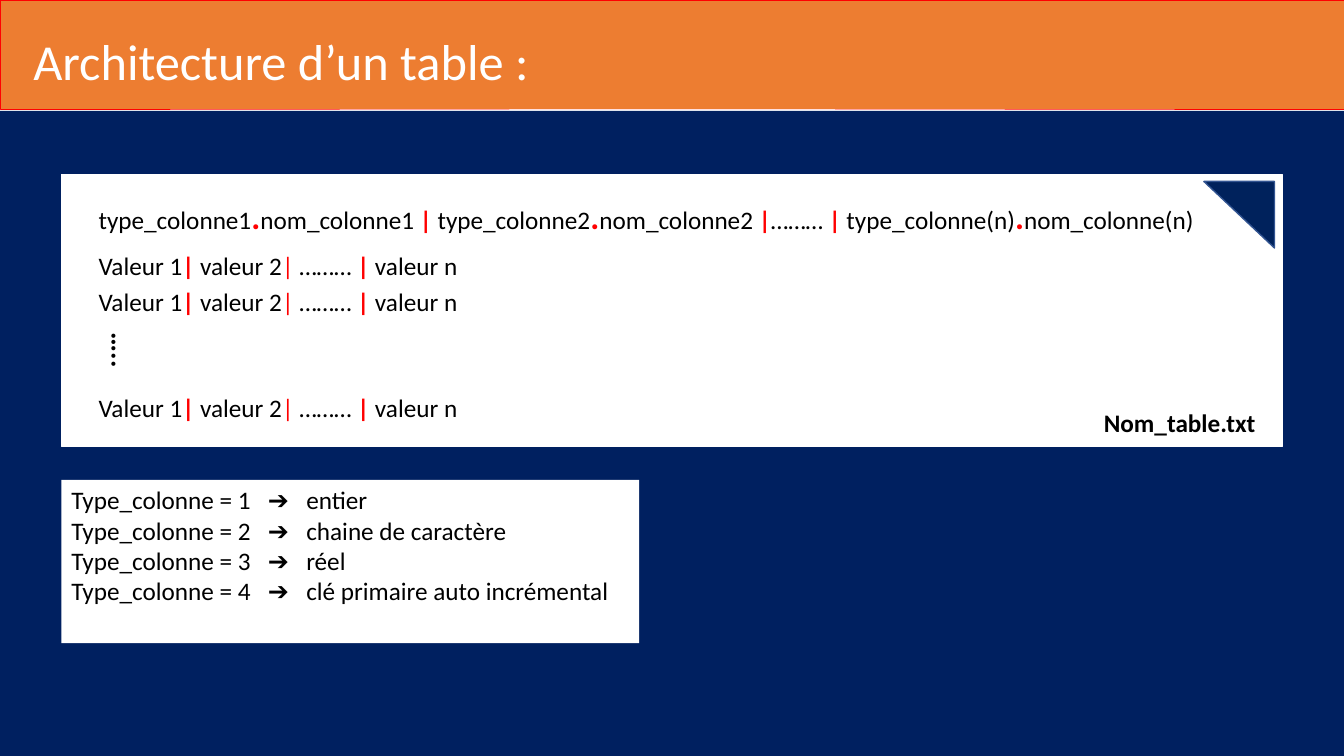
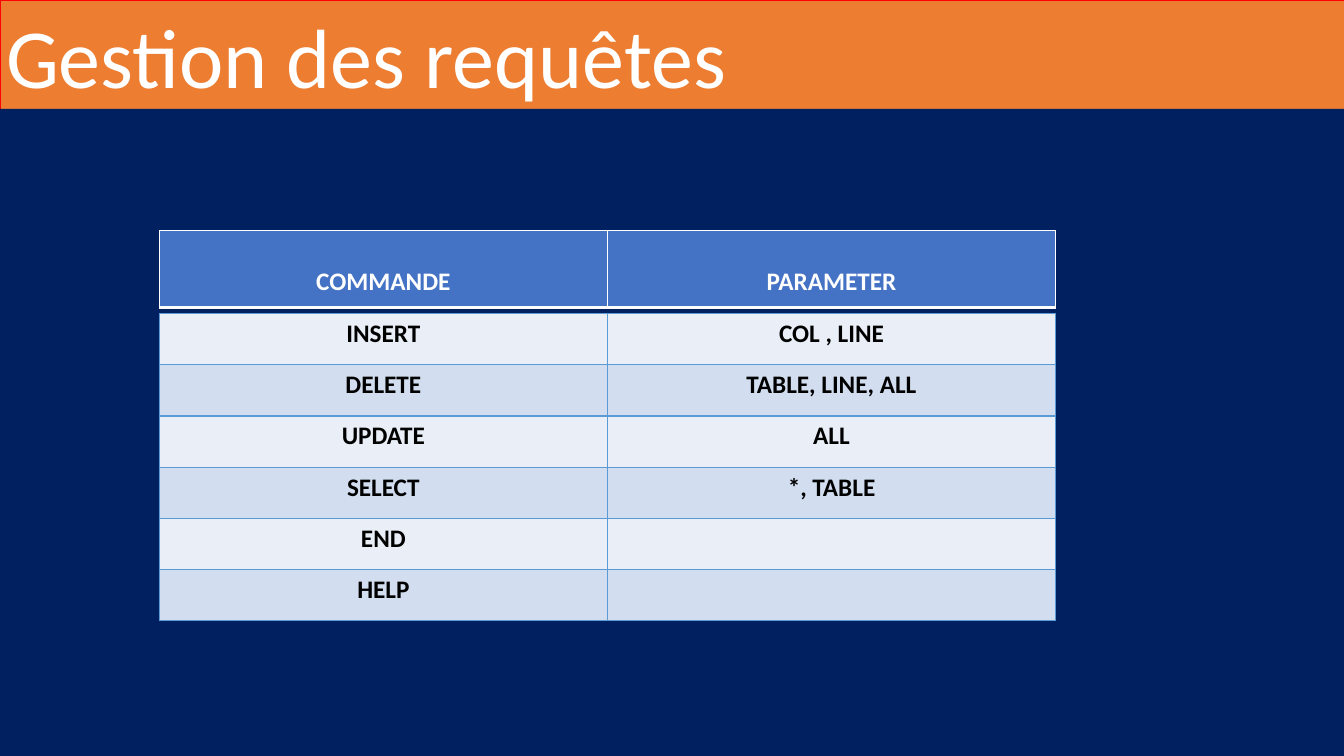
import pptx
import pptx.util
import pptx.dml.color
import pptx.enum.shapes
import pptx.enum.text
import pptx.oxml
import pptx.oxml.ns

Inches = pptx.util.Inches
Pt = pptx.util.Pt
Shape = pptx.enum.shapes.MSO_SHAPE
Align = pptx.enum.text.PP_ALIGN
Anchor = pptx.enum.text.MSO_ANCHOR

FONT = "Calibri"
NAVY, ORANGE, RED = "002060", "ED7D31", "FF0000"
WHITE, BLACK = "FFFFFF", "000000"
HEADER_BLUE, GRID_BLUE = "4472C4", "5B9BD5"
BANDS = ("EAEFF7", "D2DEEF")
WIDTH, HEIGHT, BAND_HEIGHT = 13.33, 7.5, 1.08

STYLES = {
    "plain": (BLACK, {"size": Pt(18), "bold": False}),
    "strong": (BLACK, {"size": Pt(18), "bold": True}),
    "header": (WHITE, {"size": Pt(18), "bold": True}),
    "bar": (RED, {"size": Pt(18), "bold": True}),
    "thin bar": (RED, {"size": Pt(18), "bold": False}),
    "dot": (RED, {"size": Pt(24), "bold": True}),
    "ellipsis": (BLACK, {"size": Pt(20), "bold": True}),
}

COLUMN_RUNS = [
    ("type_colonne1", "plain"), (".", "dot"), ("nom_colonne1 ", "plain"),
    ("|", "bar"), (" type_colonne2", "plain"), (".", "dot"),
    ("nom_colonne2 ", "plain"), ("|", "bar"), ("……… ", "plain"),
    ("| ", "bar"), ("type_colonne(n)", "plain"), (".", "dot"),
    ("nom_colonne(n)", "plain"),
]
VALUE_RUNS = [
    ("Valeur 1", "plain"), ("|", "bar"), (" valeur 2", "plain"),
    ("| ", "thin bar"), ("……… ", "plain"), ("|", "bar"), (" valeur n", "plain"),
]
COLUMN_TYPES = ["entier", "chaine de caractère", "réel",
                "clé primaire auto incrémental"]
COMMANDS = [
    ("INSERT", "COL , LINE"), ("DELETE", "TABLE, LINE, ALL"),
    ("UPDATE", "ALL"), ("SELECT", "*, TABLE"), ("END", ""), ("HELP", ""),
]


def paint(fill, color):
    fill.solid()
    fill.fore_color.rgb = pptx.dml.color.RGBColor.from_string(color)


def apply_format(font, color, values):
    font.name = FONT
    for name, value in values.items():
        setattr(font, name, value)
    paint(font.fill, color)


def add_runs(paragraph, runs):
    for text, style in runs:
        run = paragraph.add_run()
        run.text = text
        apply_format(run.font, *STYLES[style])


def place(shape, box):
    for name, value in zip(("left", "top", "width", "height"), box):
        setattr(shape, name, Inches(value))


def add_panel(slide, box, fill, line=None, kind=Shape.RECTANGLE):
    panel = slide.shapes.add_shape(kind, *map(Inches, box))
    panel.shadow.inherit = False
    paint(panel.fill, fill)
    if line:
        paint(panel.line.fill, line)
        panel.line.width = Pt(1)
    else:
        panel.line.fill.background()
    return panel


def add_text(slide, box, runs, wrap=True):
    label = slide.shapes.add_textbox(*map(Inches, box))
    label.text_frame.word_wrap = wrap
    add_runs(label.text_frame.paragraphs[0], runs)
    return label


def add_titled_slide(deck, text, size, text_left, text_drop, body_top):
    slide = deck.slides.add_slide(deck.slide_layouts[5])
    title = slide.shapes.title
    place(title, (0, 0, WIDTH, BAND_HEIGHT))
    paint(title.fill, ORANGE)
    paint(title.line.fill, RED)
    title.line.width = Pt(0.25)
    frame = title.text_frame
    frame.text = text
    settings = {
        "auto_size": pptx.enum.text.MSO_AUTO_SIZE.NONE,
        "vertical_anchor": Anchor.MIDDLE, "word_wrap": True,
        "margin_left": Inches(text_left), "margin_right": 0,
        "margin_top": Inches(text_drop), "margin_bottom": 0,
    }
    for name, value in settings.items():
        setattr(frame, name, value)
    paragraph = frame.paragraphs[0]
    paragraph.alignment = Align.LEFT
    apply_format(paragraph.runs[0].font, WHITE, {"size": Pt(size)})
    add_panel(slide, (0, body_top, WIDTH, HEIGHT - body_top), NAVY)
    return slide


def set_tabs(paragraph, stops):
    tabs = "".join(f'<a:tab pos="{Inches(stop)}" algn="l"/>' for stop in stops)
    namespace = pptx.oxml.ns.nsdecls("a")
    properties = paragraph._p.get_or_add_pPr()
    properties.append(pptx.oxml.parse_xml(f"<a:tabLst {namespace}>{tabs}</a:tabLst>"))


def set_border(cell, side, color, width):
    namespace = pptx.oxml.ns.nsdecls("a")
    cell._tc.get_or_add_tcPr().append(pptx.oxml.parse_xml(
        f'<a:ln{side} {namespace} w="{Pt(width)}"><a:solidFill>'
        f'<a:srgbClr val="{color}"/></a:solidFill></a:ln{side}>'))


def add_grid(slide, box, rows, style, fills, line, bottom_width=1, spacing=1):
    grid = slide.shapes.add_table(len(rows), len(rows[0]), *map(Inches, box)).table
    grid.first_row = grid.horz_banding = False
    for row_index, row in enumerate(rows):
        for column_index, text in enumerate(row):
            cell = grid.cell(row_index, column_index)
            for side in "LRTB":
                set_border(cell, side, line, bottom_width if side == "B" else 1)
            paint(cell.fill, fills[row_index % len(fills)])
            paragraph = cell.text_frame.paragraphs[0]
            paragraph.alignment = Align.CENTER
            paragraph.line_spacing = float(spacing)
            if text:
                add_runs(paragraph, [(text, style)])


def add_type_key(slide):
    key = add_panel(slide, (0.61, 4.76, 5.73, 1.62), WHITE)
    frame = key.text_frame
    frame.word_wrap = True
    frame.vertical_anchor = Anchor.TOP
    for number, meaning in enumerate(COLUMN_TYPES, 1):
        paragraph = frame.paragraphs[0] if number == 1 else frame.add_paragraph()
        paragraph.alignment = Align.LEFT
        set_tabs(paragraph, (1.95, 2.33))
        add_runs(paragraph, [(f"Type_colonne = {number}\t➔\t{meaning}", "plain")])


def build_architecture(deck):
    slide = add_titled_slide(deck, "Architecture d’un table :", 36, 0.33, 0.11, 1.1)
    add_panel(slide, (0.61, 1.73, 12.11, 2.7), WHITE, WHITE)
    add_text(slide, (0.88, 1.89, 11.7, 0.5), COLUMN_RUNS)
    for top in (2.43, 2.79, 3.84):
        add_text(slide, (0.88, top, 9.82, 0.4), VALUE_RUNS)
    dots = add_text(slide, (0.94, 3.26, 0.55, 0.44), [("…..", "ellipsis")], wrap=False)
    dots.rotation = 90
    add_text(slide, (10.85, 3.99, 1.87, 0.4), [("Nom_table.txt", "strong")])
    corner = add_panel(slide, (11.94, 1.8, 0.7, 0.66), "00225C", "325491",
                       Shape.RIGHT_TRIANGLE)
    corner.rotation = 180
    add_type_key(slide)


def build_commands(deck):
    slide = add_titled_slide(deck, "Gestion des requêtes", 60, 0.06, 0, BAND_HEIGHT)
    add_grid(slide, (1.58, 2.29, 8.89, 0.76), [("COMMANDE", "PARAMETER")],
             "header", [HEADER_BLUE], WHITE, bottom_width=3, spacing=2)
    add_grid(slide, (1.58, 3.11, 8.89, 3.05), COMMANDS, "strong", BANDS, GRID_BLUE)


def main():
    deck = pptx.Presentation()
    deck.slide_width = Inches(WIDTH)
    deck.slide_height = Inches(HEIGHT)
    build_architecture(deck)
    build_commands(deck)
    deck.save("out.pptx")


if __name__ == "__main__":
    main()
